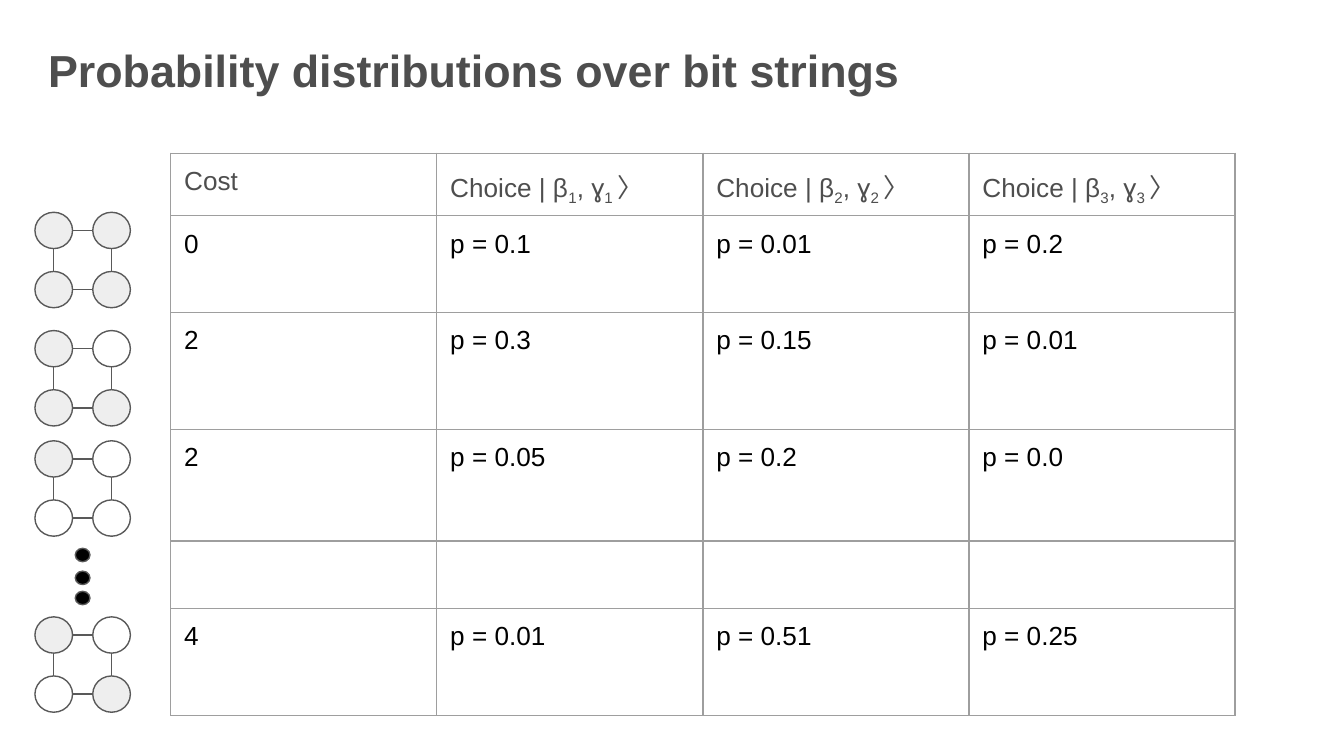
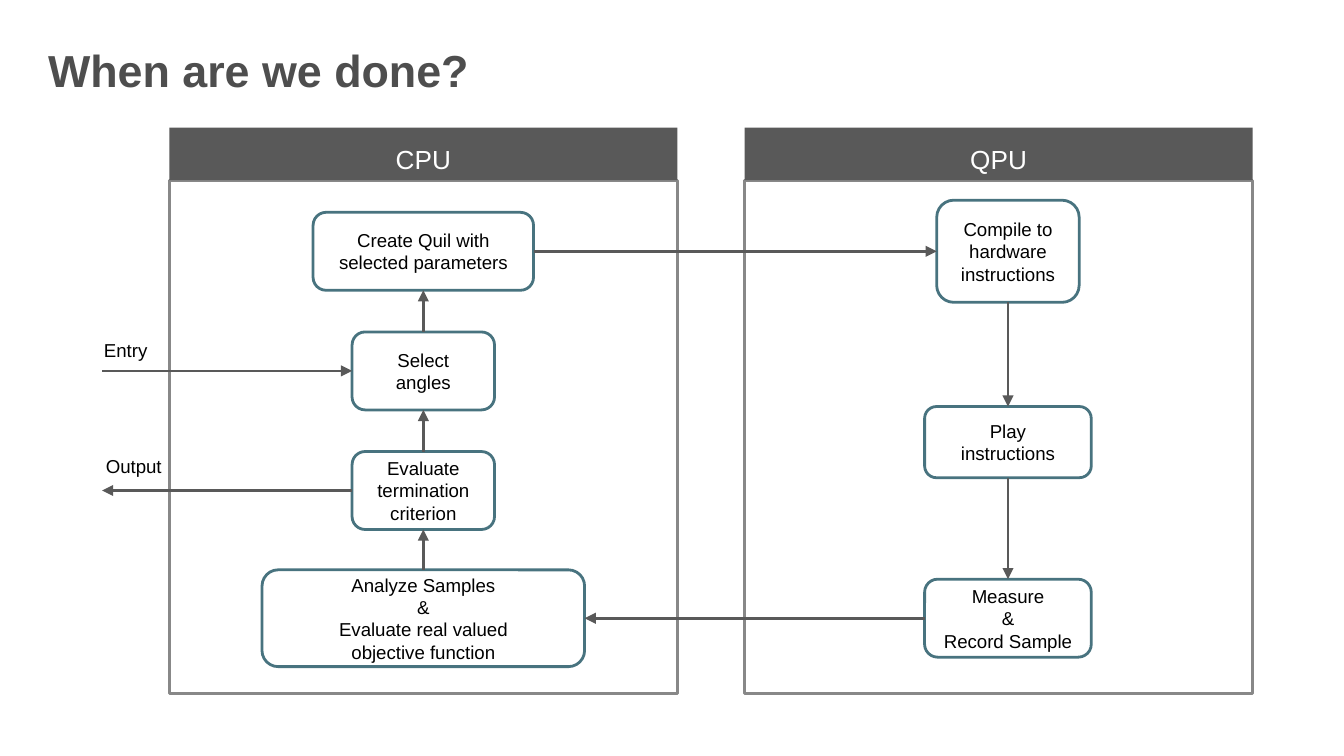
import dataclasses
import itertools

import pptx
import pptx.dml.color
import pptx.enum.shapes
import pptx.enum.text
import pptx.oxml
import pptx.oxml.ns
import pptx.util
from lxml import etree

SHAPE = pptx.enum.shapes.MSO_SHAPE
ANCHOR = pptx.enum.text.MSO_ANCHOR
ALIGN = pptx.enum.text.PP_ALIGN
STRAIGHT = pptx.enum.shapes.MSO_CONNECTOR.STRAIGHT
TOP, LEFT, BOTTOM, RIGHT = range(4)  # connection sites of a box


@dataclasses.dataclass(frozen=True)
class Theme:
    font: str = "Arial"
    ink: str = "4E4E4E"
    black: str = "000000"
    white: str = "FFFFFF"
    node: str = "EEEEEE"
    dark: str = "595959"
    frame: str = "888888"
    grid: str = "9E9E9E"
    teal: str = "48737F"
    title: int = 24
    body: int = 14
    label: int = 10
    thin: float = 0.75
    thick: float = 1.5


T = Theme()
COLUMNS, ROWS = 100, 56.25  # slide grid, square cells
CELL = pptx.util.Inches(0.1)


# --- helpers -------------------------------------------------------------
def grid(*cells):
    """Turn grid columns and rows into slide lengths."""
    return [round(c * CELL) for c in cells]


def rgb(color):
    return pptx.dml.color.RGBColor.from_string(color)


def set_all(target, values):
    for name, value in values.items():
        setattr(target, name, value)


def write(tf, paragraphs, size, color, align=None, bold=None,
          anchor=ANCHOR.TOP, lift=0):
    """Fill a frame; a paragraph is a list of runs, and a run in a tuple is a subscript."""
    set_all(tf, dict(word_wrap=True, vertical_anchor=anchor,
                     margin_left=CELL, margin_right=CELL,
                     margin_top=CELL + round(lift * CELL), margin_bottom=CELL))
    for i, runs in enumerate(paragraphs):
        p = tf.add_paragraph() if i else tf.paragraphs[0]
        p.alignment = align
        for run in runs:
            r = p.add_run()
            r.text = run[0] if isinstance(run, tuple) else run
            set_all(r.font, dict(name=T.font, size=pptx.util.Pt(size), bold=bold))
            r.font.color.rgb = rgb(color)
            if isinstance(run, tuple):
                r.font._element.set("baseline", "-25000")


def add_box(shapes, kind, at, fill=None, line=None, width=T.thin):
    sp = shapes.add_shape(kind, *grid(*at))
    sp.shadow.inherit = False
    if fill:
        sp.fill.solid()
        sp.fill.fore_color.rgb = rgb(fill)
    else:
        sp.fill.background()
    if line:
        sp.line.color.rgb = rgb(line)
        sp.line.width = pptx.util.Pt(width)
    else:
        sp.line.fill.background()
    return sp


def add_line(shapes, ends, width=T.thin, arrow=False):
    c = shapes.add_connector(STRAIGHT, *grid(*ends))
    c.line.color.rgb = rgb(T.dark)
    c.line.width = pptx.util.Pt(width)
    if arrow:
        tail = etree.SubElement(c.line._get_or_add_ln(), pptx.oxml.ns.qn("a:tailEnd"))
        tail.set("type", "triangle")
    etree.SubElement(c._element.spPr, pptx.oxml.ns.qn("a:effectLst"))
    return c


def add_arrow(s, start=None, end=None, ends=(0, 0, 0, 0)):
    """Draw an arrow; start and end are (box, site) pairs to glue to."""
    c = add_line(s.shapes, ends, T.thick, arrow=True)
    if start:
        c.begin_connect(*start)
    if end:
        c.end_connect(*end)


def add_slide(prs, title):
    s = prs.slides.add_slide(prs.slide_layouts[6])
    tb = s.shapes.add_textbox(*grid(2.6, 1.9, 86.4, 5.3))
    write(tb.text_frame, [[title]], T.title, T.ink, bold=True, lift=0.3)
    return s


# --- slide 1: graph colourings and table ---------------------------------
def add_graph(s, top, bits):
    """Square graph of four nodes; a 1 in bits (row by row) is a shaded node."""
    left, w, h, dx, dy = 2.6, 2.8, 2.7, 4.3, 4.4
    g = s.shapes.add_group_shape().shapes
    for (row, col), bit in zip(itertools.product(range(2), repeat=2), bits):
        add_box(g, SHAPE.OVAL, (left + col * dx, top + row * dy, w, h),
                T.node if bit == "1" else T.white, T.dark)
    for i in range(2):
        x, y = left + w / 2 + i * dx, top + h / 2 + i * dy
        add_line(g, (x, top + h, x, top + dy))
        add_line(g, (left + w, y, left + dx, y))


def border_cell(cell):
    tc_pr = cell._tc.get_or_add_tcPr()
    for i, side in enumerate(("lnL", "lnR", "lnT", "lnB")):
        tc_pr.insert(i, pptx.oxml.parse_xml(
            f'<a:{side} {pptx.oxml.ns.nsdecls("a")} w="{pptx.util.Pt(T.thin)}">'
            f'<a:solidFill><a:srgbClr val="{T.grid}"/></a:solidFill></a:{side}>'))


def add_grid_table(s, left, top, col_width, heights, rows):
    table = s.shapes.add_table(len(rows), len(rows[0]), *grid(
        left, top, col_width * len(rows[0]), sum(heights))).table
    set_all(table, dict(first_row=False, horz_banding=False))
    for col in table.columns:
        col.width = grid(col_width)[0]
    for i, (row, height) in enumerate(zip(rows, heights)):
        table.rows[i].height = grid(height)[0]
        for cell, runs in zip(table.rows[i].cells, row):
            cell.fill.background()
            border_cell(cell)
            write(cell.text_frame, [runs], T.body, T.black if i else T.ink)
            set_all(cell, dict(margin_left=CELL, margin_right=CELL,
                               margin_top=CELL, margin_bottom=CELL))


def distributions_slide(prs):
    s = add_slide(prs, "Probability distributions over bit strings")
    for top, bits in ((15.8, "1111"), (24.6, "1011"), (32.8, "1000"), (45.9, "1001")):
        add_graph(s, top, bits)
    for top in (40.8, 42.5, 44):
        add_box(s.shapes, SHAPE.OVAL, (5.6, top, 1.1, 1), T.black, T.dark)
    header = [["Cost"]] + [["Choice | β", (n,), ", ɣ", (n + " ",), "〉"] for n in "123"]
    costs = [("0", "0.1", "0.01", "0.2"), ("2", "0.3", "0.15", "0.01"),
             ("2", "0.05", "0.2", "0.0"), (), ("4", "0.01", "0.51", "0.25")]
    body = [[[c[0]]] + [["p = " + p] for p in c[1:]] if c else [[]] * 4 for c in costs]
    add_grid_table(s, 12.7, 11.4, 19.8, (4.4, 7.2, 8.7, 8.3, 5, 8), [header] + body)


# --- slide 2: hybrid loop ------------------------------------------------
def add_panel(s, left, name):
    top, head, width, height = 9.5, 3.9, 37.8, 38.2
    add_box(s.shapes, SHAPE.RECTANGLE, (left, top + head, width, height),
            T.white, T.frame, T.thick)
    band = add_box(s.shapes, SHAPE.RECTANGLE, (left, top, width, head), T.dark)
    write(band.text_frame, [[name]], T.body, T.white, ALIGN.CENTER, lift=0.2)


def add_step(s, center, middle, w, h, *lines, line=T.teal):
    sp = add_box(s.shapes, SHAPE.ROUNDED_RECTANGLE,
                 (center - w / 2, middle - h / 2, w, h), None, line, T.thick)
    write(sp.text_frame, [[text] for text in lines], T.label, T.black,
          ALIGN.CENTER, anchor=ANCHOR.MIDDLE)
    return sp


def loop_slide(prs):
    s = add_slide(prs, "When are we done?")
    add_panel(s, 55.4, "QPU")
    add_panel(s, 12.6, "CPU")

    # Steps, each column on one centre line
    cpu, qpu = 31.5, 75
    create = add_step(s, cpu, 18.7, 16.4, 5.8, "Create Quil with selected parameters")
    select = add_step(s, cpu, 27.6, 10.6, 5.8, "Select angles")
    evaluate = add_step(s, cpu, 36.5, 10.6, 5.8, "Evaluate termination criterion")
    analyze = add_step(s, cpu, 46, 24, 7.2, "Analyze Samples", "&",
                       "Evaluate real valued", "objective function")
    compiling = add_step(s, qpu, 18.7, 10.6, 7.6, "Compile to hardware instructions")
    play = add_step(s, qpu, 32.9, 12.4, 5.3, "Play instructions")
    measure = add_step(s, qpu, 46, 12.4, 5.8, "Measure", "&", "Record Sample")

    # Arrows up the CPU, across, down the QPU and back
    for low, high in itertools.pairwise((analyze, evaluate, select, create)):
        add_arrow(s, (low, TOP), (high, BOTTOM))
    for high, low in itertools.pairwise((compiling, play, measure)):
        add_arrow(s, (high, BOTTOM), (low, TOP))
    add_arrow(s, (create, RIGHT), (compiling, LEFT))
    add_arrow(s, (measure, LEFT), (analyze, RIGHT))

    # Way in and way out
    edge = 7.6
    add_arrow(s, end=(select, LEFT), ends=(edge, 27.6, edge, 27.6))
    add_arrow(s, start=(evaluate, LEFT), ends=(edge, 36.5, edge, 36.5))
    add_step(s, 9.35, 26.05, 6.5, 1.9, "Entry", line=None)
    add_step(s, 9.95, 34.65, 6.9, 1.9, "Output", line=None)


def main():
    prs = pptx.Presentation()
    set_all(prs, dict(slide_width=grid(COLUMNS)[0], slide_height=grid(ROWS)[0]))
    distributions_slide(prs)
    loop_slide(prs)
    prs.save("out.pptx")


if __name__ == "__main__":
    main()
